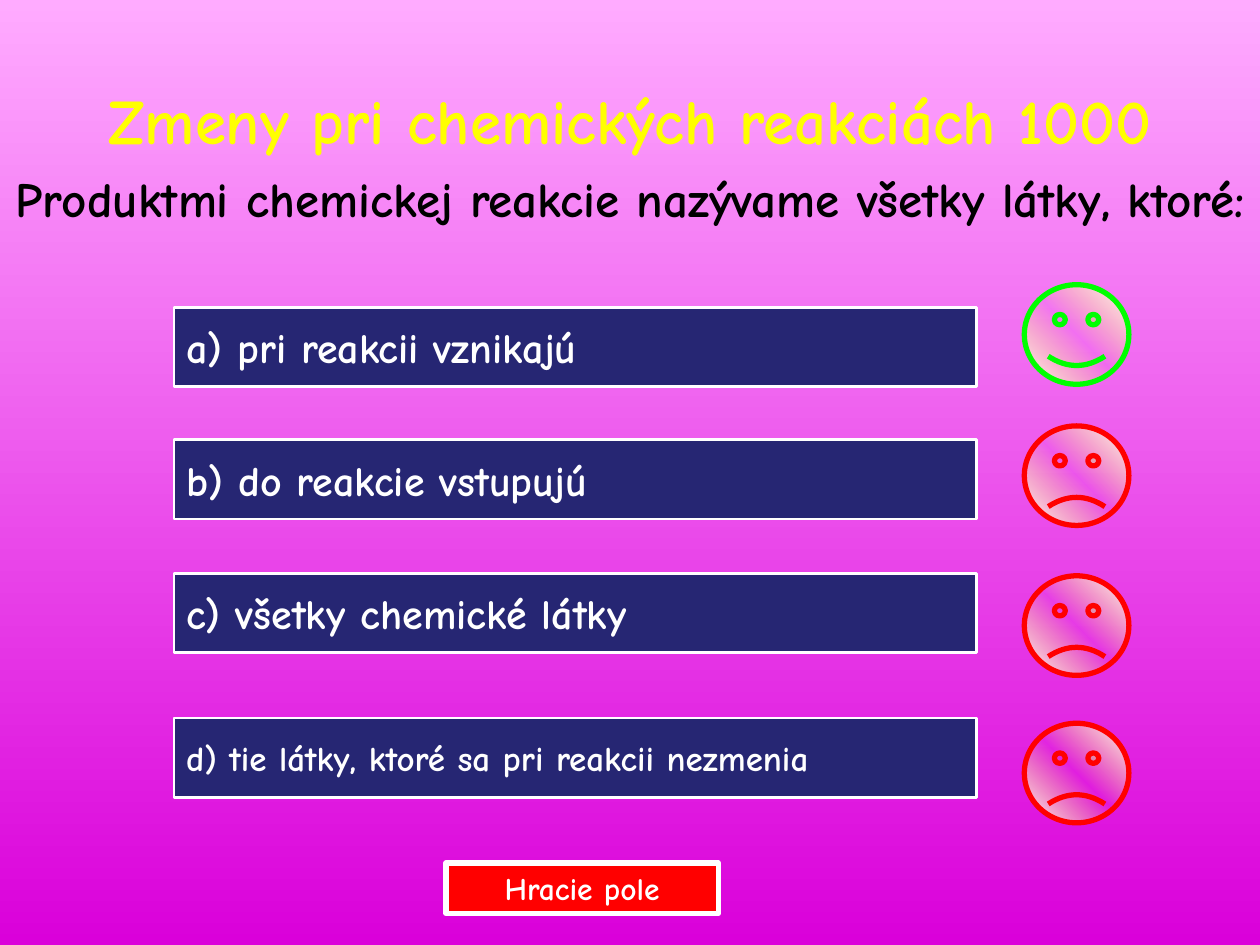
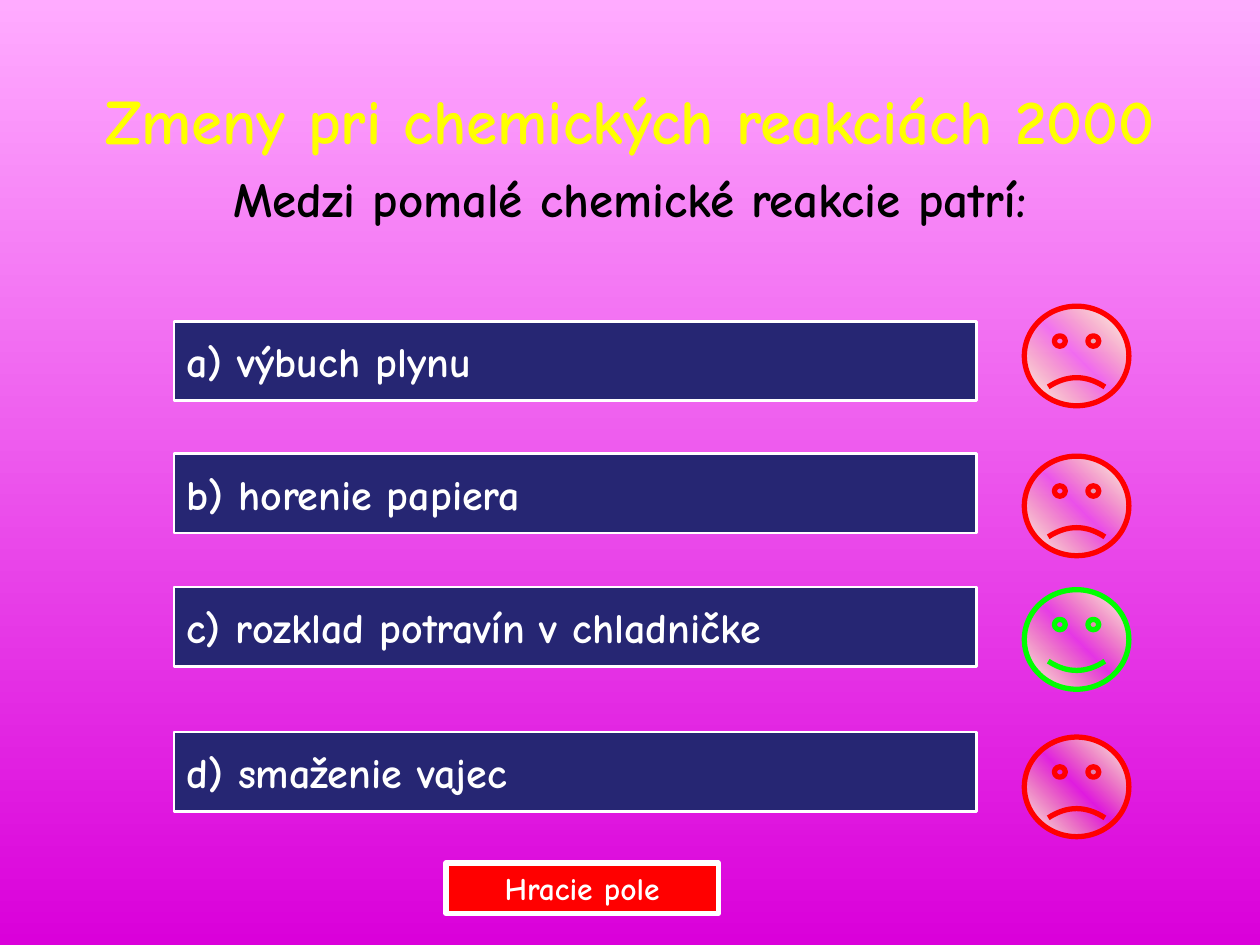
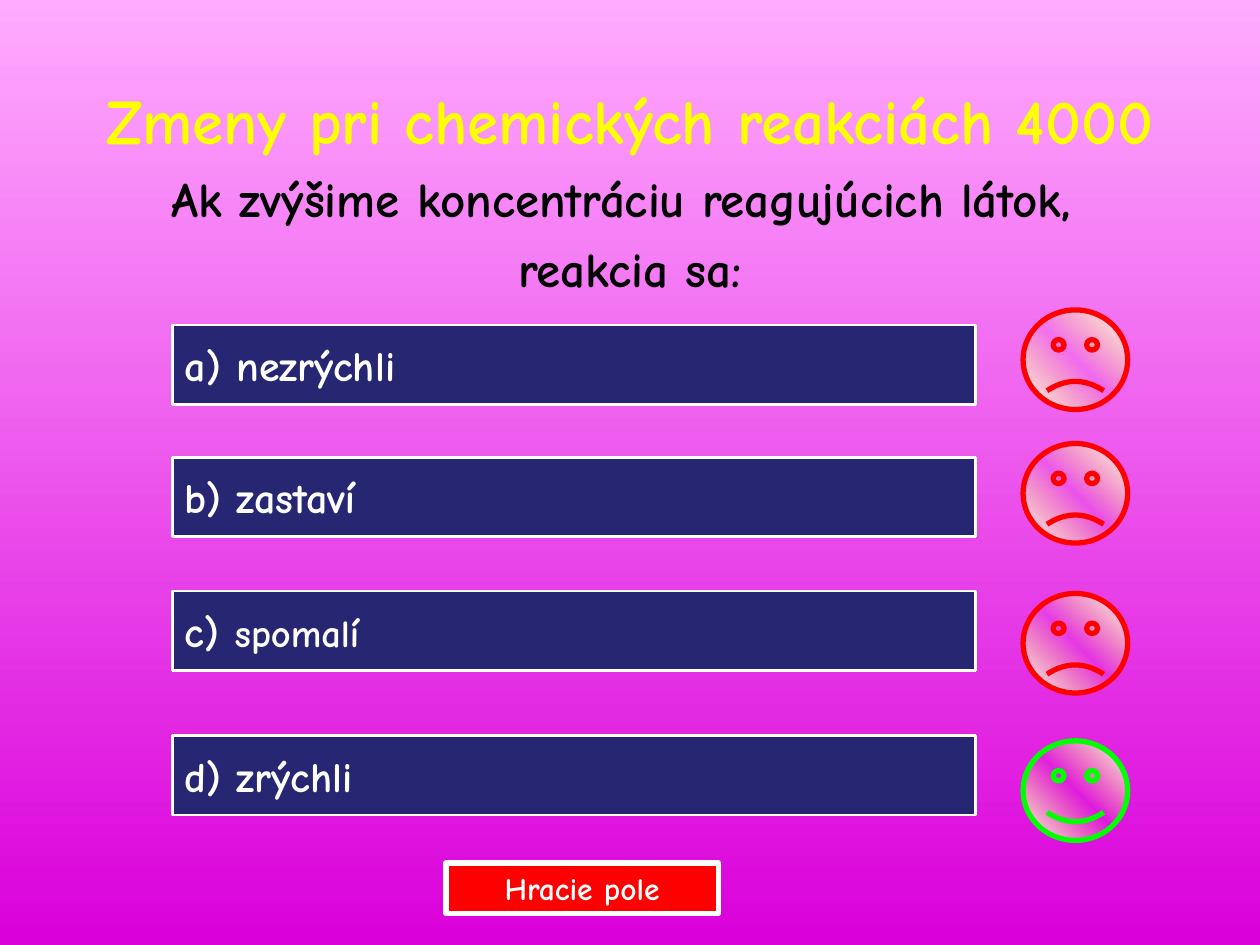
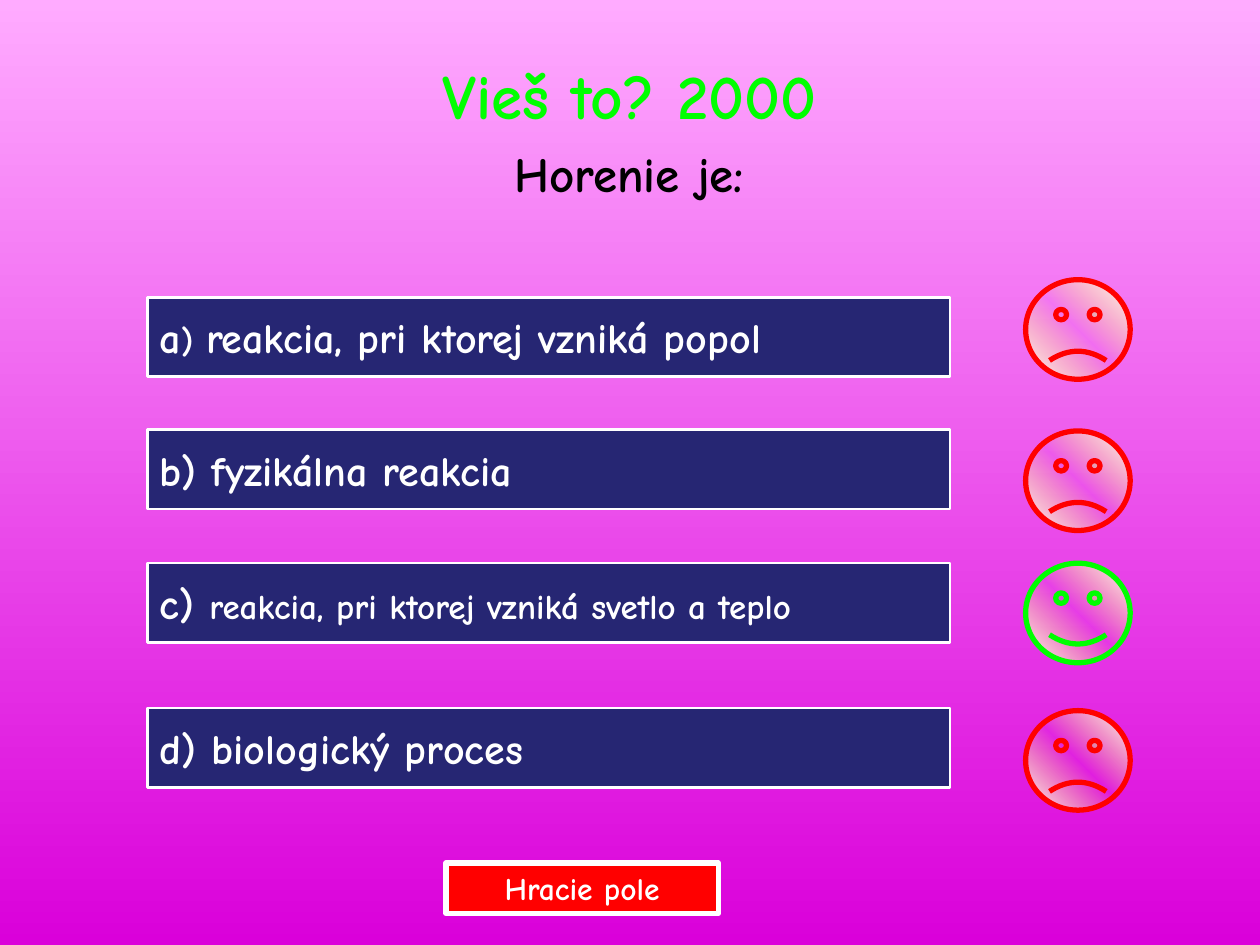
from dataclasses import dataclass

from lxml.etree import SubElement
from pptx import Presentation
from pptx.dml.color import RGBColor as Rgb
from pptx.enum.shapes import MSO_SHAPE as Preset
from pptx.enum.text import MSO_ANCHOR as Anchor, PP_ALIGN as Align
from pptx.oxml.ns import qn
from pptx.util import Pt

PX = 9144
ROW_OFFSETS = (0, 105, 211, 326)


@dataclass(frozen=True)
class Theme:
    font: str = "Comic Neue"
    sky: str = "FFABFF"
    ground: str = "DA00DA"
    white: str = "FFFFFF"
    black: str = "000000"
    yellow: str = "FFFF00"
    glow: str = "FFFF66"
    navy: str = "262673"
    red: str = "FF0000"
    green: str = "00FF00"
    title: int = 36
    question: int = 28
    answer: int = 24
    medium: int = 22
    small: int = 20
    button: int = 18


THEME = Theme()


def write(paragraph, text, *, size, color, align=Align.LEFT, before=0, hang=0):
    paragraph.alignment = align
    if hang:
        properties = paragraph._p.get_or_add_pPr()
        properties.set("marL", str(hang * PX))
        properties.set("indent", str(-hang * PX))
    if before:
        paragraph.space_before = Pt(before)
    parts = [(text, size)] if isinstance(text, str) else text
    for words, points in parts:
        run = paragraph.add_run()
        run.text = words
        run.font.name = THEME.font
        run.font.size = Pt(points)
        run.font.bold = True
        run.font.color.rgb = Rgb.from_string(color)


def blend(fill, start, end, angle):
    fill.gradient()
    fill.gradient_angle = angle
    for stop, color in zip(fill.gradient_stops, (start, end)):
        stop.color.rgb = Rgb.from_string(color)


class Quiz:
    def __init__(self, theme):
        self.theme = theme
        self.deck = Presentation()
        self.deck.slide_width = 1000 * PX
        self.deck.slide_height = 750 * PX
        blend(self.deck.slide_master.background.fill, theme.sky, theme.ground, 270)
        self.slide = None

    def new_slide(self):
        self.slide = self.deck.slides.add_slide(self.deck.slide_layouts[6])

    def shape(self, preset, box, line, weight):
        shape = self.slide.shapes.add_shape(preset, *(PX * side for side in box))
        shape.shadow.inherit = False
        shape.line.color.rgb = Rgb.from_string(line)
        shape.line.width = Pt(weight)
        return shape

    def heading(self, box, title, color, question):
        theme = self.theme
        frame = self.slide.shapes.add_textbox(*(PX * side for side in box)).text_frame
        frame.word_wrap = True
        layout = dict(align=Align.CENTER, hang=38)
        write(frame.paragraphs[0], title, size=theme.title, color=color, **layout)
        for line in question:
            write(frame.add_paragraph(), line, size=theme.question,
                  color=theme.black, before=6.4, **layout)

    def button(self, box, text, fill, size, weight, align=Align.LEFT):
        button = self.shape(Preset.ACTION_BUTTON_CUSTOM, box, self.theme.white, weight)
        button.fill.solid()
        button.fill.fore_color.rgb = Rgb.from_string(fill)
        frame = button.text_frame
        frame.word_wrap = False
        frame.vertical_anchor = Anchor.MIDDLE
        write(frame.paragraphs[0], text, size=size, color=self.theme.white, align=align)

    def face(self, left, top, correct):
        theme = self.theme
        color = theme.green if correct else theme.red
        face = self.shape(Preset.SMILEY_FACE, (left, top, 83, 79), color, 3)
        face.adjustments[0] = 0.05 if correct else -0.05
        blend(face.fill, theme.white, theme.white, 45)
        stops = face._element.spPr.find(".//" + qn("a:gsLst"))
        middle = SubElement(stops, qn("a:gs"), pos="50000")
        glow = SubElement(middle, qn("a:srgbClr"), val=theme.glow)
        SubElement(glow, qn("a:alpha"), val="0")
        stops.insert(1, middle)

    def question(self, title, question, answers, correct, left, top, face_left,
                 face_tops, heading_box=(0, 60, 1000, 75), title_color=THEME.yellow):
        theme = self.theme
        self.new_slide()
        self.heading(heading_box, title, title_color, question)
        for row, (answer, offset, face_top) in enumerate(
                zip(answers, ROW_OFFSETS, face_tops)):
            self.button((left, top + offset, 637, 63), answer,
                        theme.navy, theme.answer, 1.5)
            self.face(face_left, face_top, row == correct)
        self.button((354, 685, 216, 40), "Hracie pole", theme.red, theme.button, 3,
                    Align.CENTER)


def main():
    quiz = Quiz(THEME)
    topic = "Zmeny pri chemických reakciách"
    quiz.question(
        f"{topic} 1000",
        ["Produktmi chemickej reakcie nazývame všetky látky, ktoré:"],
        ["a) pri reakcii vznikajú",
         "b) do reakcie vstupujú",
         "c) všetky chemické látky",
         [("d) tie látky, ktoré sa pri reakcii nezmenia", THEME.small)]],
        correct=0, left=138, top=244, face_left=813, face_tops=(226, 338, 457, 574))
    quiz.question(
        f"{topic} 2000",
        ["Medzi pomalé chemické reakcie patrí:"],
        ["a) výbuch plynu",
         "b) horenie papiera",
         "c) rozklad potravín v chladničke",
         "d) smaženie vajec"],
        correct=2, left=138, top=255, face_left=813, face_tops=(243, 362, 468, 585))
    quiz.question(
        f"{topic} 4000",
        ["Ak zvýšime koncentráciu reagujúcich látok, ", "reakcia sa:"],
        ["a) nezrýchli",
         "b) zastaví",
         [("c) ", THEME.answer), ("spomalí", THEME.medium)],
         "d) zrýchli"],
        correct=3, left=137, top=258, face_left=812, face_tops=(246, 352, 471, 588))
    quiz.question(
        "Vieš to? 2000",
        ["Horenie je:"],
        [[("a", THEME.answer), (") ", THEME.small),
          ("reakcia, pri ktorej vzniká popol", THEME.answer)],
         "b) fyzikálna reakcia",
         [("c) ", THEME.answer),
          ("reakcia, pri ktorej vzniká svetlo a teplo", THEME.small)],
         "d) biologický proces"],
        correct=2, left=117, top=236, face_left=814, face_tops=(222, 342, 447, 564),
        heading_box=(39, 40, 921, 75), title_color=THEME.green)
    quiz.deck.save("out.pptx")


if __name__ == "__main__":
    main()
